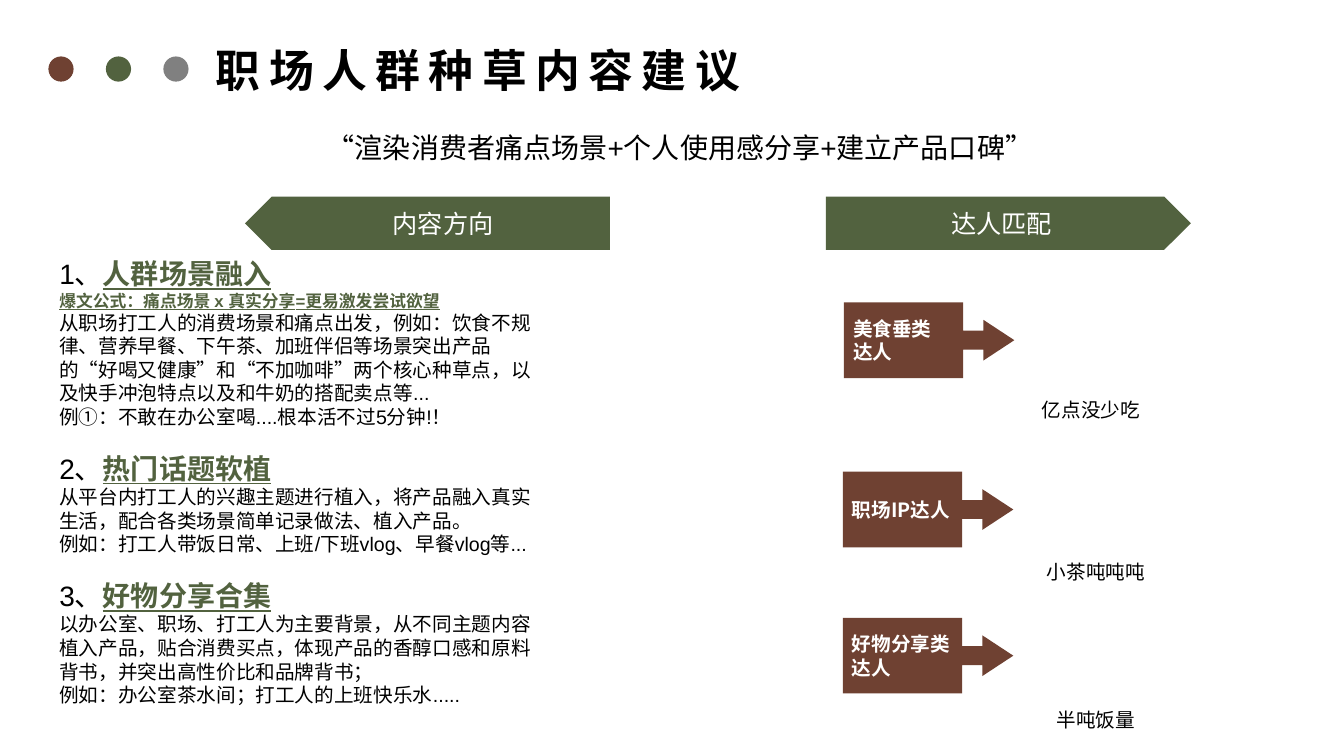
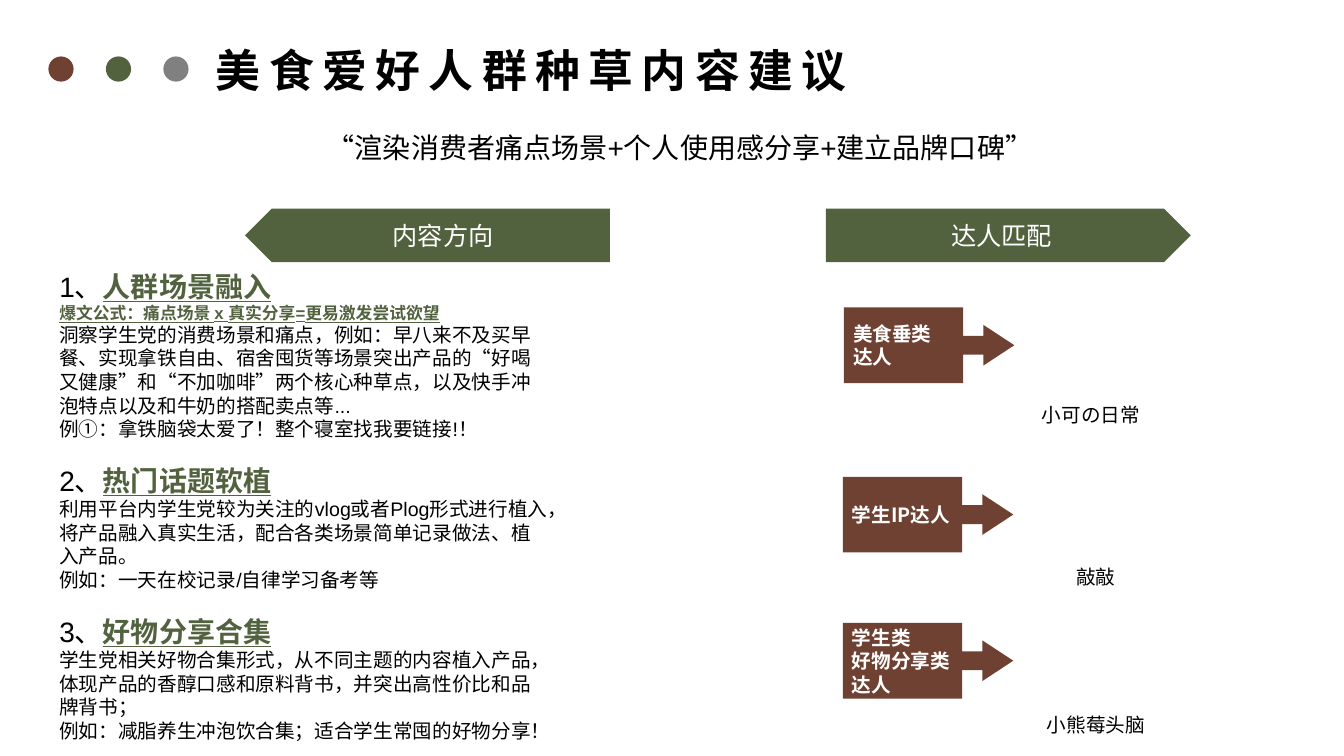
import pptx
import pptx.util
import pptx.dml.color
import pptx.enum.shapes
import pptx.enum.text
import pptx.enum.lang
import lxml.etree

Inches = pptx.util.Inches
Pt = pptx.util.Pt
SHAPE = pptx.enum.shapes.MSO_SHAPE
ALIGN = pptx.enum.text.PP_ALIGN
ANCHOR = pptx.enum.text.MSO_ANCHOR
FIT = pptx.enum.text.MSO_AUTO_SIZE
LANG = pptx.enum.lang.MSO_LANGUAGE_ID

BROWN, GREEN, GRAY = "6F4132", "52623F", "808080"
BLACK, WHITE = "000000", "FFFFFF"
LATIN, HAN = "Arial", "Noto Sans CJK SC"
INDENT = 0.12
HEADS = ["人群场景融入", "热门话题软植", "好物分享合集"]
RULE = "爆文公式：痛点场景 x 真实分享=更易激发尝试欲望"

PAGES = [
    {
        "title": "职场人群种草内容建议",
        "motto": "“渲染消费者痛点场景+个人使用感分享+建立产品口碑”",
        "band": 1.95,
        "shift": 0,
        "body": [
            ["从职场打工人的消费场景和痛点出发，例如：饮食不规律、营养早餐、下午茶、加班伴侣等场景突出产品的“好喝又健康”和“不加咖啡”两个核心种草点，以及快手冲泡特点以及和牛奶的搭配卖点等...",
             "例①：不敢在办公室喝....根本活不过5分钟!！"],
            ["从平台内打工人的兴趣主题进行植入，将产品融入真实生活，配合各类场景简单记录做法、植入产品。",
             "例如：打工人带饭日常、上班/下班vlog、早餐vlog等..."],
            ["以办公室、职场、打工人为主要背景，从不同主题内容植入产品，贴合消费买点，体现产品的香醇口感和原料背书，并突出高性价比和品牌背书；",
             "例如：办公室茶水间；打工人的上班快乐水....."],
        ],
        "match": [("美食垂类\n达人", "亿点没少吃"),
                  ("职场IP达人", "小茶吨吨吨"),
                  ("好物分享类\n达人", "半吨饭量")],
    },
    {
        "title": "美食爱好人群种草内容建议",
        "motto": "“渲染消费者痛点场景+个人使用感分享+建立品牌口碑”",
        "band": 2.07,
        "shift": 0.05,
        "body": [
            ["洞察学生党的消费场景和痛点，例如：早八来不及买早餐、实现拿铁自由、宿舍囤货等场景突出产品的“好喝又健康”和“不加咖啡”两个核心种草点，以及快手冲泡特点以及和牛奶的搭配卖点等...",
             "例①：拿铁脑袋太爱了！整个寝室找我要链接!！"],
            ["利用平台内学生党较为关注的vlog或者Plog形式进行植入，将产品融入真实生活，配合各类场景简单记录做法、植入产品。",
             "例如：一天在校记录/自律学习备考等"],
            ["学生党相关好物合集形式，从不同主题的内容植入产品，体现产品的香醇口感和原料背书，并突出高性价比和品牌背书；",
             "例如：减脂养生冲泡饮合集；适合学生常囤的好物分享！"],
        ],
        "match": [("美食垂类\n达人", "小可の日常"),
                  ("学生IP达人", "敲敲"),
                  ("学生类\n好物分享类\n达人", "小熊莓头脑")],
    },
]


def paint(form, color):
    form.solid()
    form.fore_color.rgb = pptx.dml.color.RGBColor.from_string(color)


def style(run, size, color=BLACK, bold=False, line=False, face=LATIN):
    font = run.font
    font.size, font.bold, font.underline, font.name = Pt(size), bold, line, face
    font.language_id = LANG.SIMPLIFIED_CHINESE
    paint(font.fill, color)
    east = lxml.etree.Element(pptx.oxml.ns.qn("a:ea"), typeface=HAN)
    run._r.rPr.find(pptx.oxml.ns.qn("a:latin")).addnext(east)


def indent(para):
    props = para._p.get_or_add_pPr()
    props.set("marL", str(Inches(INDENT)))
    props.set("indent", "0")


def shape(slide, kind, box, color):
    item = slide.shapes.add_shape(kind, *map(Inches, box))
    item.shadow.inherit = False
    paint(item.fill, color)
    item.line.fill.background()
    return item


def write(item, text, align, anchor, *look, **more):
    frame = item.text_frame
    frame.word_wrap = True
    frame.vertical_anchor = anchor
    frame.text = text
    for para in frame.paragraphs:
        para.alignment = align
        for run in para.runs:
            style(run, *look, **more)
    return frame


def label(slide, box, text, size, color=BLACK, anchor=ANCHOR.TOP):
    item = slide.shapes.add_textbox(*map(Inches, box))
    return write(item, text, ALIGN.CENTER, anchor, size, color)


def header(slide, text):
    for i, color in enumerate([BROWN, GREEN, GRAY]):
        shape(slide, SHAPE.OVAL, (0.48 + 0.57 * i, 0.56, 0.25, 0.25), color)
    title = slide.shapes.title
    title.left, title.top, title.width, title.height = map(
        Inches, (2.04, 0.37, 6.89, 0.64))
    frame = write(title, text, ALIGN.LEFT, ANCHOR.TOP, 32, bold=True, face=HAN)
    frame.auto_size = FIT.NONE
    for run in frame.paragraphs[0].runs:
        run._r.rPr.set("spc", "600")


def bands(slide, top):
    right = shape(slide, SHAPE.PENTAGON, (8.19, top, 3.62, 0.53), GREEN)
    write(right, "达人匹配", ALIGN.CENTER, ANCHOR.MIDDLE, 18, WHITE)
    left = shape(slide, SHAPE.PENTAGON, (2.43, top, 3.62, 0.53), GREEN)
    left.rotation = 180
    label(slide, (2.73, top, 3.33, 0.53), "内容方向", 18, WHITE, ANCHOR.MIDDLE)


def body(slide, top, parts):
    box = slide.shapes.add_textbox(*map(Inches, (0.37, top, 5.16, 4.17)))
    frame = box.text_frame
    frame.word_wrap = True

    def add(*runs):
        para = frame.add_paragraph() if frame.text else frame.paragraphs[0]
        indent(para)
        for text, *look in runs:
            run = para.add_run()
            run.text = text
            style(run, *look)
        return para

    for i, (head, lines) in enumerate(zip(HEADS, parts)):
        para = add((f"{i + 1}、", 20), (head, 20, GREEN, True, True))
        if i:
            para.space_before = Pt(16.5)
        else:
            add((RULE, 12, GREEN, True, True))
        for line in lines:
            add((line, 14))


def match(slide, shift, pairs):
    spots = [(8.37, 3, 10.07, 3.9), (8.36, 4.68, 10.12, 5.51),
             (8.36, 6.13, 10.12, 6.97)]
    for (left, top, side, low), (text, name) in zip(spots, pairs):
        box = (left, top + shift, 1.69, 0.75)
        item = shape(slide, SHAPE.RIGHT_ARROW_CALLOUT, box, BROWN)
        for i, ratio in enumerate([0.25, 0.27, 0.41, 0.7]):
            item.adjustments[i] = ratio
        frame = write(item, text, ALIGN.LEFT, ANCHOR.MIDDLE, 14, WHITE,
                      bold=True, face=HAN)
        frame.margin_left, frame.margin_right = Inches(0.09), 0
        label(slide, (side, low + shift, 1.5, 0.34), name, 14)


def main():
    deck = pptx.Presentation()
    deck.slide_width, deck.slide_height = Inches(13.33), Inches(7.5)
    for page in PAGES:
        slide = deck.slides.add_slide(deck.slide_layouts[5])
        header(slide, page["title"])
        motto = label(slide, (2.73, 1.25, 7.91, 0.44), page["motto"], 20)
        indent(motto.paragraphs[0])
        bands(slide, page["band"])
        body(slide, page["band"] + 0.55, page["body"])
        match(slide, page["shift"], page["match"])
    deck.save("out.pptx")


if __name__ == "__main__":
    main()
